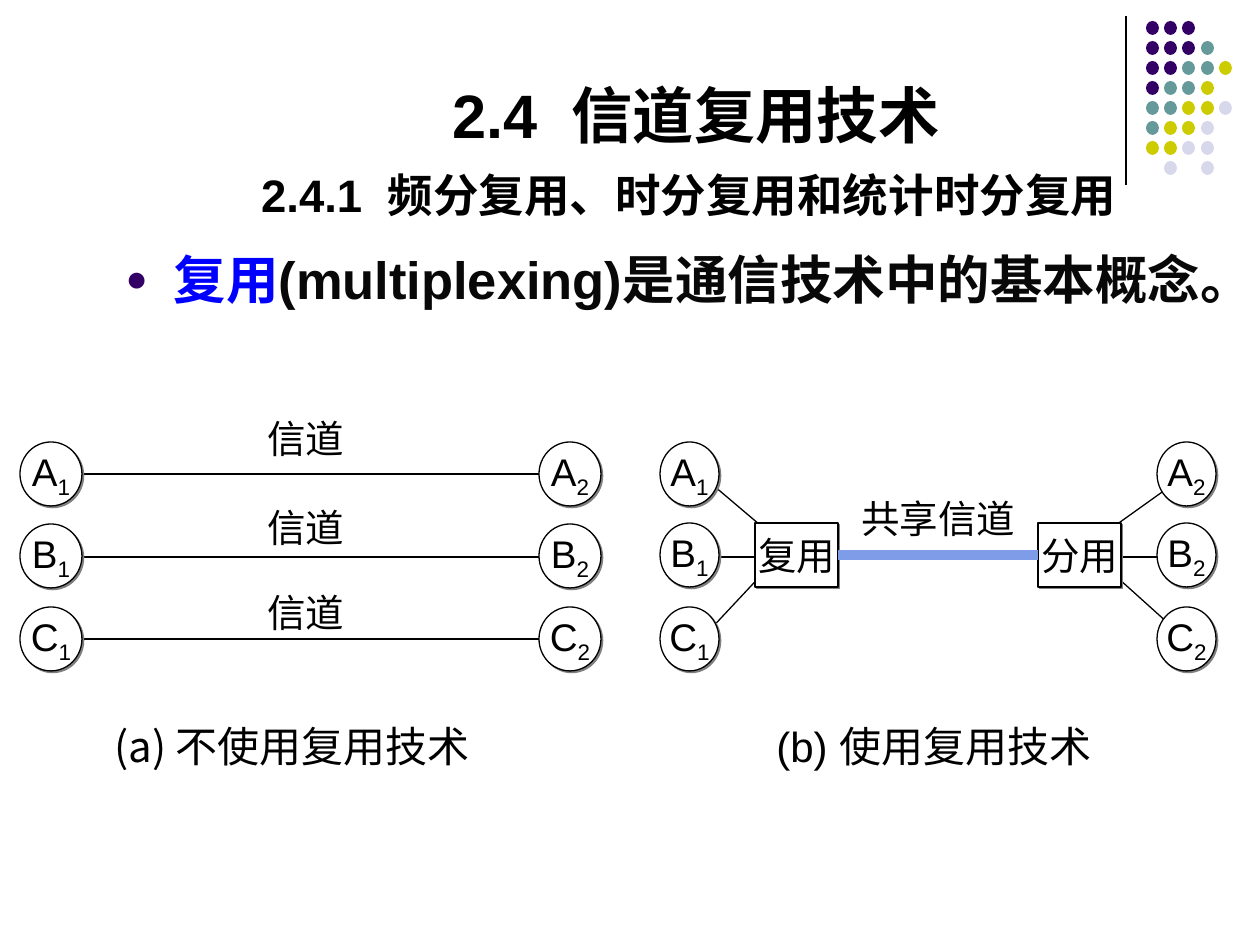
from lxml import etree
from pptx import Presentation
from pptx.dml.color import RGBColor
from pptx.enum.shapes import MSO_CONNECTOR, MSO_SHAPE
from pptx.enum.text import MSO_ANCHOR, MSO_AUTO_SIZE, PP_ALIGN
from pptx.oxml import parse_xml
from pptx.oxml.ns import nsdecls, qn
from pptx.util import Pt

OVAL, RECT = MSO_SHAPE.OVAL, MSO_SHAPE.RECTANGLE
LINE = MSO_CONNECTOR.STRAIGHT
MID, LOW = MSO_ANCHOR.MIDDLE, MSO_ANCHOR.BOTTOM
CENTER = PP_ALIGN.CENTER
FIXED = MSO_AUTO_SIZE.NONE
PX = 914400 / 126
HAN = "Noto Sans CJK SC"


def px(*vals):
    return [round(v * PX) for v in vals]


def rgb(code):
    return RGBColor.from_string(code)


deck = Presentation()
deck.slide_width, deck.slide_height = px(1260, 945)
slide = deck.slides.add_slide(deck.slide_layouts[1])
shapes = slide.shapes
title, body = slide.placeholders

dyes = {"P": "330066", "T": "669999", "Y": "CCCC00", "L": "D8D8EC"}
rows = ["PPP", "PPPT", "PPTTY", "PTTY", "TTYYL", "TYYL", "YYLL", " L L"]
for r, row in enumerate(rows):
    for c, key in enumerate(row):
        if key in dyes:
            dot = shapes.add_shape(OVAL, *px(1146 + c * 55 // 3, 21 + r * 20, 13, 14))
            dot.shadow.inherit = False
            dot.fill.solid()
            dot.fill.fore_color.rgb = rgb(dyes[key])
            dot.line.fill.background()

title.left, title.top, title.width, title.height = px(117, 29, 1158, 202)
frame = title.text_frame
frame.auto_size = FIXED
frame.vertical_anchor = LOW
frame.text = "2.4  信道复用技术\v2.4.1  频分复用、时分复用和统计时分复用"
para = frame.paragraphs[0]
para.alignment = CENTER
para.add_run().text = " "
for run, size in zip(para.runs, (35, 26, 35)):
    run.font.size = Pt(size)
    run.font.bold = True
    run.font.color.rgb = rgb("000000")

body.left, body.top, body.width, body.height = px(113, 252, 1101, 559)
frame = body.text_frame
frame.auto_size = FIXED
para = frame.paragraphs[0]
para.space_before = Pt(0)
para.line_spacing = 0.82
props = para._p.get_or_add_pPr()
indent, = px(48)
props.set("marL", str(indent))
props.set("indent", str(-indent))
for mark in (
    '<a:buClr {}><a:srgbClr val="330066"/></a:buClr>',
    '<a:buSzPct {} val="70000"/>',
    '<a:buFont {} typeface="Arial"/>',
    '<a:buChar {} char="●"/>',
):
    props.append(parse_xml(mark.format(nsdecls("a"))))
for word, dye in (("复用", "0000FF"), ("(multiplexing)是通信技术中的基本概念。", "080808")):
    run = para.add_run()
    run.text = word
    run.font.size = Pt(30)
    run.font.bold = True
    run.font.color.rgb = rgb(dye)

links = [(1126, 16, 1126, 185), (718, 557, 1168, 557)]
links += [(82, y, 551, y) for y in (474, 557, 639)]
links += [
    (1109, 570, 1179, 633),
    (1179, 480, 1109, 530),
    (707, 633, 766, 570),
    (707, 480, 766, 530),
]
wires = []
for ends in links:
    wire = shapes.add_connector(LINE, *px(*ends))
    wire.line.color.rgb = rgb("000000")
    wire.line.width = Pt(0.75)
    wires.append(wire)

nodes = []
for left, wide, tops, num in (
    (20, 62, (442, 524, 607), "1"),
    (539, 62, (442, 524, 607), "2"),
    (660, 59, (442, 523, 607), "1"),
    (1157, 59, (442, 523, 607), "2"),
):
    for name, top in zip("ABC", tops):
        nodes.append((OVAL, (left, top, wide, 64), name, num))
nodes += [(RECT, (755, 523, 83, 64), "复用", ""), (RECT, (1038, 523, 83, 64), "分用", "")]

shade = (
    f'<a:effectLst {nsdecls("a")}><a:outerShdw dist="17780" dir="2700000" algn="ctr" '
    'rotWithShape="0"><a:srgbClr val="808080"/></a:outerShdw></a:effectLst>'
)
boxes = []
for kind, area, name, num in nodes:
    node = shapes.add_shape(kind, *px(*area))
    node.fill.solid()
    node.fill.fore_color.rgb = rgb("FFFFFF")
    node.line.color.rgb = rgb("000000")
    node.line.width = Pt(0.75)
    node._element.spPr.append(parse_xml(shade))
    frame = node.text_frame
    frame.word_wrap = False
    frame.vertical_anchor = MID
    para = frame.paragraphs[0]
    para.alignment = CENTER
    for part in filter(None, (name, num)):
        run = para.add_run()
        run.text = part
        run.font.size = Pt(22)
        run.font.color.rgb = rgb("000000")
        if part == num:
            run.font._element.set("baseline", "-25000")
    if kind == RECT:
        boxes.append(node)

trunk = shapes.add_connector(LINE, *px(838, 557, 1038, 557))
trunk.begin_connect(boxes[0], 3)
trunk.end_connect(boxes[1], 1)
trunk.line.color.rgb = rgb("7E9CE8")
trunk.line.width = Pt(6)
for wire in wires + [trunk]:
    etree.SubElement(wire._element.spPr, qn("a:effectLst"))

labels = [("信道", (255, y, 102, 59), 22, False) for y in (409, 498, 583)]
labels += [
    ("共享信道", (849, 489, 179, 59), 22, False),
    ("(a) 不使用复用技术", (102, 723, 388, 63), 24, True),
    ("(b) 使用复用技术", (764, 714, 350, 63), 24, False),
]
for text, area, size, wrap in labels:
    frame = shapes.add_textbox(*px(*area)).text_frame
    frame.word_wrap = wrap
    frame.text = text
    para = frame.paragraphs[0]
    if wrap:
        para.line_spacing = 0.83
    font = para.runs[0].font
    font.size = Pt(size)
    font.color.rgb = rgb("000000")

for shape in shapes:
    if shape.has_text_frame:
        for para in shape.text_frame.paragraphs:
            for run in para.runs:
                run.font.name = HAN if run.text.startswith(("信道", "(a)")) else "Arial"
                face = etree.SubElement(run.font._element, qn("a:ea"))
                face.set("typeface", HAN)

deck.save("out.pptx")
